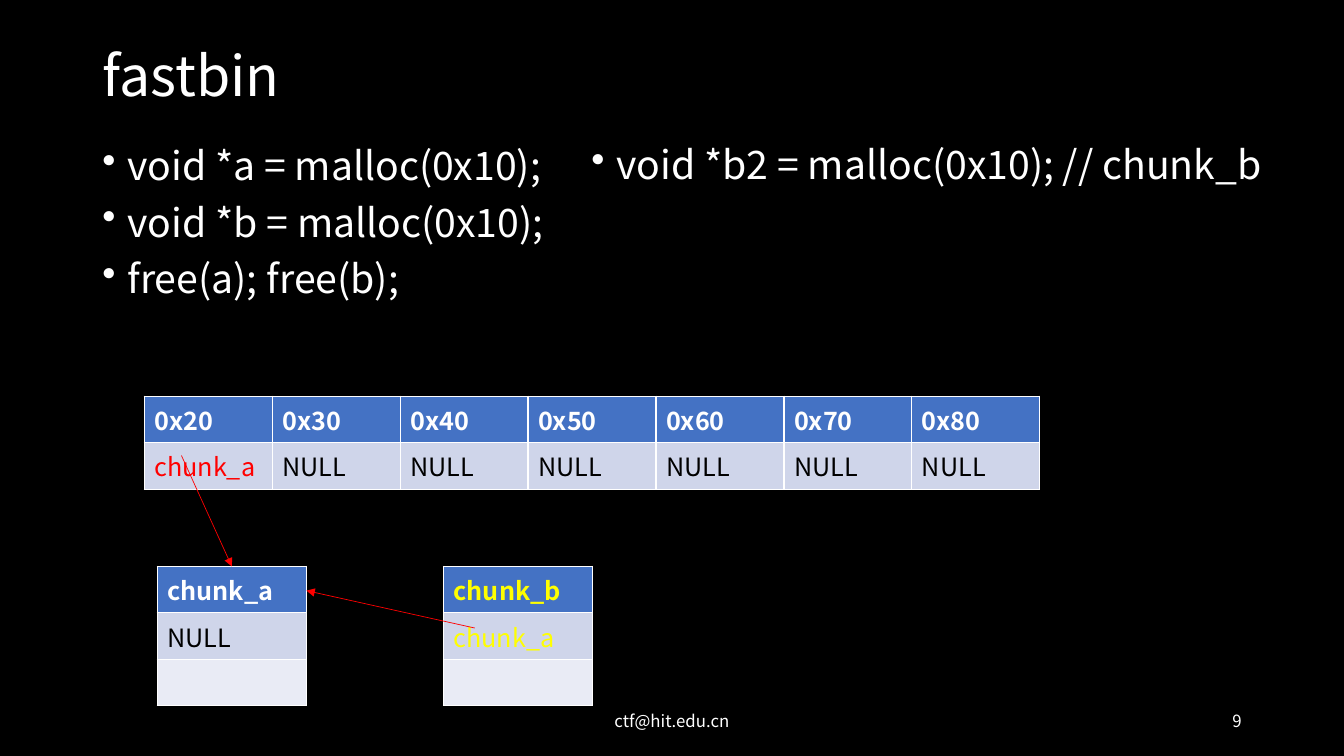
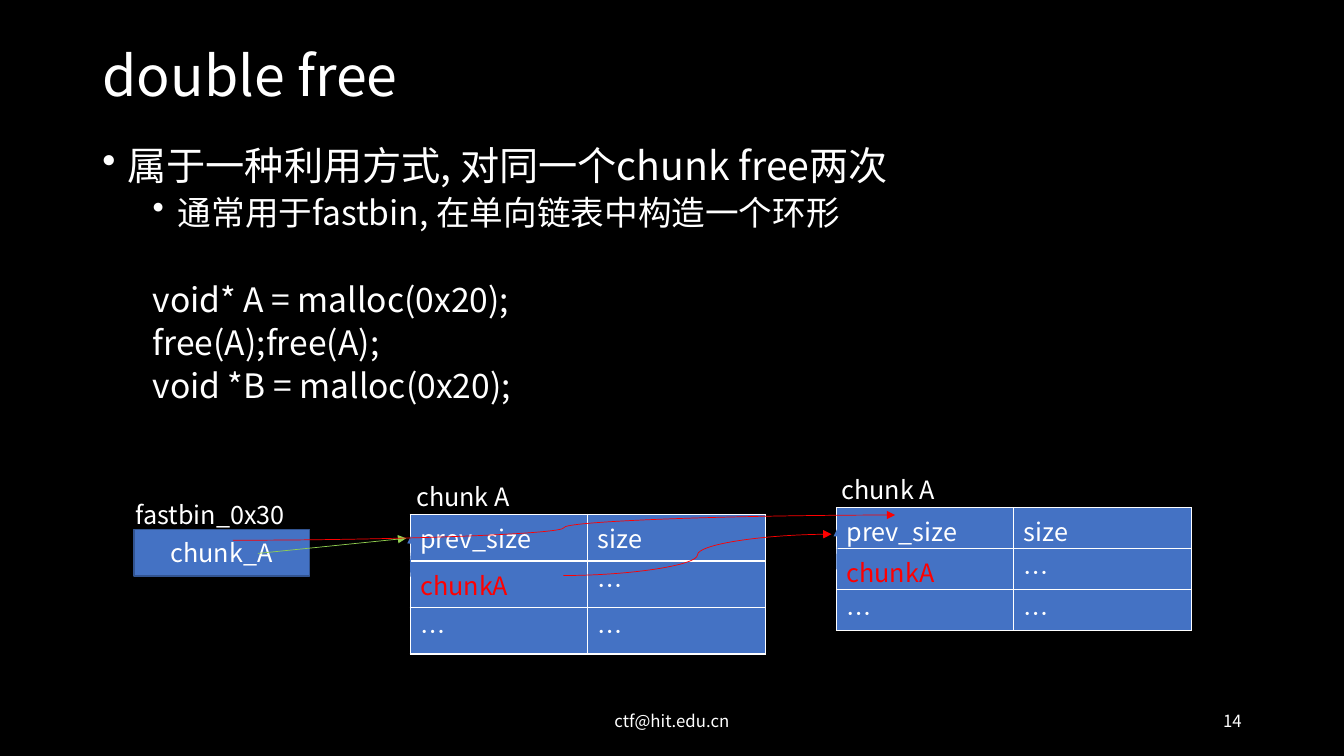
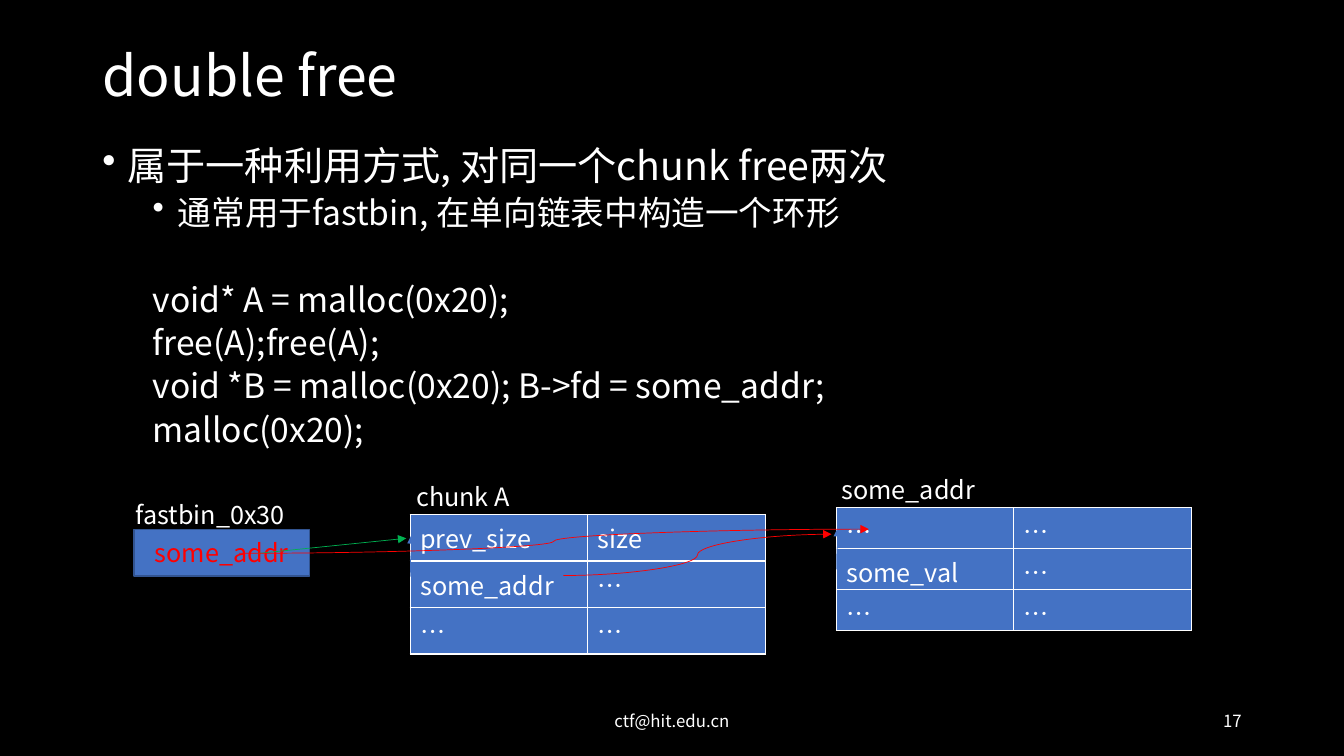
"""Build three slides on fastbin lists and double free."""
from lxml import etree
from pptx import Presentation
from pptx.dml.color import RGBColor
from pptx.enum import shapes, text
from pptx.oxml import ns
from pptx.util import Pt

FONT = "Noto Sans CJK SC"
BLACK, WHITE, BLUE, NAVY = "000000", "FFFFFF", "4472C4", "325491"
RED, YELLOW, LIME, GREEN = "FF0000", "FFFF00", "92D050", "00B050"
BANDS = [BLUE, "CFD5EA", "E9EBF5"]
LEFT, CENTER, RIGHT = text.PP_ALIGN.LEFT, text.PP_ALIGN.CENTER, text.PP_ALIGN.RIGHT
STRAIGHT, CURVE = shapes.MSO_CONNECTOR.STRAIGHT, shapes.MSO_CONNECTOR.CURVE
LEVELS = {
    "point": {"size": 28, "line": 30.3, "before": 10, "margin": 18, "indent": -18},
    "detail": {"size": 24, "line": 26, "before": 5, "margin": 54, "indent": -18},
    "first code": {"size": 24, "line": 26, "before": 36, "margin": 36, "indent": 0},
    "code": {"size": 24, "line": 26, "before": 5, "margin": 36, "indent": 0},
}


def paint(color):
    return RGBColor.from_string(color)


def write(para, words, color=WHITE, align=LEFT, **styles):
    para.alignment = align
    span = para.add_run()
    span.text = words
    for name, value in {"name": FONT, "size": Pt(18), "bold": False, **styles}.items():
        setattr(span.font, name, value)
    span.font.color.rgb = paint(color)
    latin = span.font._element.find(ns.qn("a:latin"))
    east_asian = etree.Element(ns.qn("a:ea"), typeface=FONT)
    latin.addnext(east_asian)


pages = [{
    "title": "fastbin",
    "number": "9",
    "bodies": [
        ((66, 101, 333, 128), [
            ("point", "void *a = malloc(0x10);"),
            ("point", "void *b = malloc(0x10);"),
            ("point", "free(a); free(b);")]),
        ((415.4, 100.3, 500, 128), [("point", "void *b2 = malloc(0x10); // chunk_b")]),
    ],
    "bins": [],
    "labels": [],
    "tables": [
        {"at": (103, 283), "width": 91.4, "height": 33.2, "header": True,
         "rows": [[f"0x{size}0" for size in range(2, 9)], ["chunk_a"] + ["NULL"] * 6],
         "tints": {(1, 0): RED}},
        {"at": (112.3, 404.6), "width": 106.6, "height": 33.2, "header": True,
         "rows": [["chunk_a"], ["NULL"], [""]], "tints": {}},
        {"at": (316.8, 404.6), "width": 106.6, "height": 33.2, "header": True,
         "rows": [["chunk_b"], ["chunk_a"], [""]],
         "tints": {(0, 0): YELLOW, (1, 0): YELLOW}},
    ],
    "links": [
        (STRAIGHT, RED, (129.6, 325.4, 165.6, 404.6), 0),
        (STRAIGHT, RED, (339.1, 448.6, 218.9, 421.9), 0),
    ],
}]

variants = [
    ("14", ["void *B = malloc(0x20);"], ("chunk_A", WHITE), LIME, "chunk A",
     "chunkA", RED, ["prev_size", "size"], "chunkA", (166.3, 385.9, 639.4, 367.9)),
    ("17", ["void *B = malloc(0x20); B->fd = some_addr;", "malloc(0x20);"],
     ("some_addr", RED), GREEN, "some_addr",
     "some_addr", WHITE, ["…", "…"], "some_val", (170.6, 395.3, 620.6, 378)),
]
for number, code, head, arrow, target, near, tint, top, far, jump in variants:
    pages.append({
        "title": "double free",
        "number": number,
        "bodies": [((66, 101, 828, 386.6), [
            ("point", "属于一种利用方式, 对同一个chunk free两次"),
            ("detail", "通常用于fastbin, 在单向链表中构造一个环形"),
            ("first code", "void* A = malloc(0x20);"),
            ("code", "free(A);free(A);"),
            *[("code", line) for line in code]])],
        "bins": [head],
        "labels": [("fastbin_0x30", 90, 352.8), ("chunk A", 290.2, 340.6),
                   (target, 594, 335.5)],
        "tables": [
            {"at": (293, 367.5), "width": 126.8, "height": 33.2, "header": False,
             "rows": [["prev_size", "size"], [near, "…"], ["…", "…"]],
             "tints": {(1, 0): tint}},
            {"at": (597.4, 362.6), "width": 126.8, "height": 29.3, "header": False,
             "rows": [top, [far, "…"], ["…", "…"]],
             "tints": {(1, 0): tint}, "margins": (3.2, 0)},
        ],
        "links": [
            (STRAIGHT, arrow, (184.3, 395.3, 290.2, 384.5), 0),
            (CURVE, BLUE, (308.2, 397.4, 278.7, 396.7), 90),
            (CURVE, BLUE, (612.7, 392.4, 583.2, 391.7), 90),
            (CURVE, RED, (402.5, 411.1, 594, 381.6), 0),
            (CURVE, RED, jump, 0),
        ],
    })

deck = Presentation()
deck.slide_width, deck.slide_height = Pt(960), Pt(540)
backdrop = deck.slide_master.background.fill
backdrop.solid()
backdrop.fore_color.rgb = paint(BLACK)

for content in pages:
    page = deck.slides.add_slide(deck.slide_layouts[5])
    title = page.shapes.title
    place = {"left": 66, "top": 28.8, "width": 828, "height": 54}
    for name, value in place.items():
        setattr(title, name, Pt(value))
    title.text_frame.vertical_anchor = text.MSO_ANCHOR.MIDDLE
    title.text_frame.paragraphs[0].line_spacing = 0.9
    write(title.text_frame.paragraphs[0], content["title"], size=Pt(39.6))

    for at, lines in content["bodies"]:
        frame = page.shapes.add_textbox(*map(Pt, at)).text_frame
        frame.word_wrap = True
        for index, (level, words) in enumerate(lines):
            look = LEVELS[level]
            para = frame.add_paragraph() if index else frame.paragraphs[0]
            para.line_spacing = Pt(look["line"])
            para.space_before = Pt(look["before"] if index else 0)
            props = para._p.get_or_add_pPr()
            props.set("marL", str(Pt(look["margin"])))
            props.set("indent", str(Pt(look["indent"])))
            if look["indent"]:
                etree.SubElement(props, ns.qn("a:buChar"), char="•")
            write(para, words, size=Pt(look["size"]))

    footers = [("ctf@hit.edu.cn", 318, 324, CENTER), (content["number"], 678, 216, RIGHT)]
    for words, left, width, align in footers:
        frame = page.shapes.add_textbox(Pt(left), Pt(500.5), Pt(width), Pt(28.8)).text_frame
        frame.word_wrap = True
        frame.vertical_anchor = text.MSO_ANCHOR.MIDDLE
        write(frame.paragraphs[0], words, align=align, size=Pt(12))

    for words, color in content["bins"]:
        box = page.shapes.add_shape(
            shapes.MSO_SHAPE.RECTANGLE, Pt(95.7), Pt(378.3), Pt(125.3), Pt(33.1))
        box.shadow.inherit = False
        box.fill.solid()
        box.fill.fore_color.rgb = paint(BLUE)
        box.line.color.rgb = paint(NAVY)
        box.line.width = Pt(1)
        box.text_frame.vertical_anchor = text.MSO_ANCHOR.MIDDLE
        write(box.text_frame.paragraphs[0], words, color, CENTER)

    for grid in content["tables"]:
        rows, header = grid["rows"], grid["header"]
        columns = len(rows[0])
        table = page.shapes.add_table(
            len(rows), columns, *map(Pt, grid["at"]),
            Pt(grid["width"] * columns), Pt(grid["height"] * len(rows))).table
        table.first_row = header
        table.horz_banding = False
        for column in table.columns:
            column.width = Pt(grid["width"])
        for y, row in enumerate(rows):
            table.rows[y].height = Pt(grid["height"])
            for x, words in enumerate(row):
                cell = table.cell(y, x)
                cell.margin_top, cell.margin_bottom = map(Pt, grid.get("margins", (3.6, 3.6)))
                cell.fill.solid()
                cell.fill.fore_color.rgb = paint(BANDS[y] if header else BLUE)
                plain = BLACK if header and y else WHITE
                if words:
                    write(cell.text_frame.paragraphs[0], words,
                          grid["tints"].get((y, x), plain), bold=header and y == 0)

    for words, left, top in content["labels"]:
        frame = page.shapes.add_textbox(Pt(left), Pt(top), Pt(130.3), Pt(28.8)).text_frame
        frame.word_wrap = True
        write(frame.paragraphs[0], words)

    for kind, color, ends, turn in content["links"]:
        link = page.shapes.add_connector(kind, *map(Pt, ends))
        link.line.color.rgb = paint(color)
        link.line.width = Pt(0.5)
        props = link._element.spPr
        if turn:
            props.find(ns.qn("a:xfrm")).set("rot", str(turn * 60000))
        etree.SubElement(props.find(ns.qn("a:ln")), ns.qn("a:tailEnd"), type="triangle")
        etree.SubElement(props, ns.qn("a:effectLst"))

deck.save("out.pptx")
